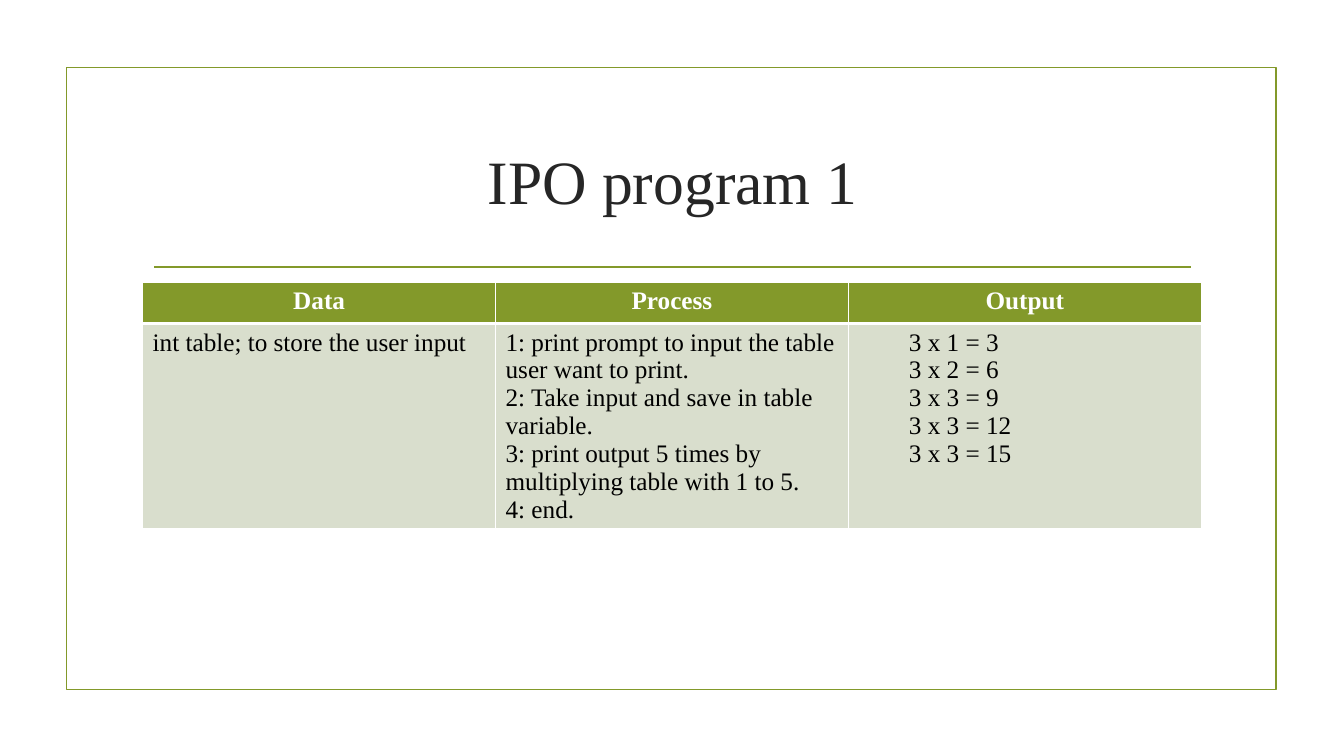
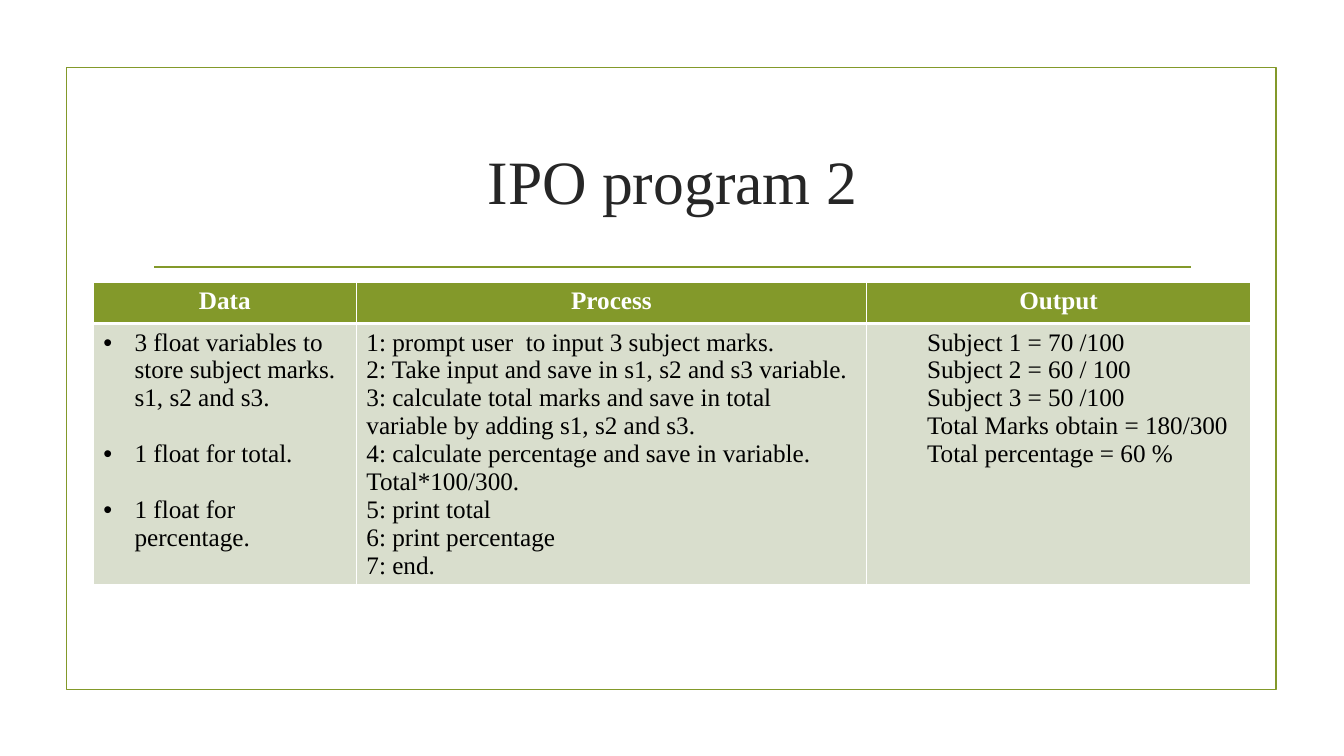
import pptx
import pptx.dml.color
import pptx.enum.shapes
import pptx.enum.text
import pptx.oxml.ns
import pptx.util
from lxml import etree

Inches = pptx.util.Inches
Pt = pptx.util.Pt
qn = pptx.oxml.ns.qn
ALIGN = pptx.enum.text.PP_ALIGN

SLIDE_WIDTH, SLIDE_HEIGHT = 13.33, 7.5
FONT = "Times New Roman"
COLORS = {
    "accent": "83992A",
    "title": "262626",
    "header_text": "FFFFFF",
    "body_text": "000000",
    "body_fill": "D9DECD",
    "border": "FFFFFF",
}
FRAME_BOX = (0.66, 0.67, 12, 6.17)
TITLE_BOX = (1.42, 1.07, 10.5, 1.43)
RULE_LEFT, RULE_RIGHT, RULE_TOP = 1.53, 11.81, 2.65
TABLE_TOP, ROW_HEIGHT = 2.8, 0.41
HEADINGS = ["Data", "Process", "Output"]
BULLET_INDENT, OUTPUT_INDENT = 0.31, 0.5

PROGRAMS = [
    {
        "title": "IPO program 1",
        "columns": [3.5, 3.5, 3.5],
        "bulleted": False,
        "body": [
            ["int table; to store the user input"],
            [
                "1: print prompt to input the table user want to print.",
                "2: Take input and save in table variable.",
                "3: print output 5 times by multiplying table with 1 to 5.",
                "4: end.",
            ],
            ["3 x 1 = 3", "3 x 2 = 6", "3 x 3 = 9", "3 x 3 = 12", "3 x 3 = 15"],
        ],
    },
    {
        "title": "IPO program 2",
        "columns": [2.61, 5.06, 3.81],
        "bulleted": True,
        "body": [
            [
                "3 float variables to store subject marks. s1, s2 and s3.",
                "1 float for total.",
                "1 float for percentage.",
            ],
            [
                "1: prompt user  to input 3 subject marks.",
                "2: Take input and save in s1, s2 and s3 variable.",
                "3: calculate total marks and save in total variable by adding s1, s2 and s3.",
                "4: calculate percentage and save in variable. Total*100/300.",
                "5: print total",
                "6: print percentage",
                "7: end.",
            ],
            [
                "Subject 1 = 70 /100",
                "Subject 2 = 60 / 100",
                "Subject 3 = 50 /100",
                "Total Marks obtain = 180/300",
                "Total percentage = 60 %",
            ],
        ],
    },
]


def color(name):
    return pptx.dml.color.RGBColor.from_string(COLORS[name])


def place(shape, box):
    shape.left, shape.top, shape.width, shape.height = map(Inches, box)


def write(para, text, size, color_name, bold=False):
    span = para.add_run()
    span.text = text
    span.font.name = FONT
    span.font.size = Pt(size)
    span.font.bold = bold
    span.font.color.rgb = color(color_name)


def indent(para, left, bullet=None):
    settings = para._p.get_or_add_pPr()
    settings.set("marL", str(Inches(left)))
    settings.set("indent", str(-Inches(left) if bullet else 0))
    if bullet:
        etree.SubElement(settings, qn("a:buFont")).set("typeface", "Arial")
        etree.SubElement(settings, qn("a:buChar")).set("char", bullet)


def add_borders(cell, top, bottom):
    settings = cell._tc.get_or_add_tcPr()
    for side, width in (("L", 1), ("R", 1), ("T", top), ("B", bottom)):
        line = etree.SubElement(settings, qn("a:ln" + side), w=str(Pt(width)))
        fill = etree.SubElement(line, qn("a:solidFill"))
        etree.SubElement(fill, qn("a:srgbClr"), val=COLORS["border"])


def add_decoration(page):
    frame = page.shapes.add_shape(
        pptx.enum.shapes.MSO_SHAPE.RECTANGLE, *map(Inches, FRAME_BOX))
    frame.shadow.inherit = False
    frame.fill.background()
    rule = page.shapes.add_connector(
        pptx.enum.shapes.MSO_CONNECTOR.STRAIGHT,
        *map(Inches, (RULE_LEFT, RULE_TOP, RULE_RIGHT, RULE_TOP)))
    etree.SubElement(rule.element.spPr, qn("a:effectLst"))
    for shape in (frame, rule):
        shape.line.color.rgb = color("accent")
        shape.line.width = Pt(1.25)


def add_title(page, text):
    title = page.shapes.title
    place(title, TITLE_BOX)
    title.text_frame.vertical_anchor = pptx.enum.text.MSO_ANCHOR.MIDDLE
    para = title.text_frame.paragraphs[0]
    para.alignment = ALIGN.CENTER
    write(para, text, 44, "title")


def fill_header(cell, heading):
    add_borders(cell, 1, 3)
    cell.fill.solid()
    cell.fill.fore_color.rgb = color("accent")
    para = cell.text_frame.paragraphs[0]
    para.alignment = ALIGN.CENTER
    write(para, heading, 18, "header_text", bold=True)


def fill_body(cell, lines, left=0, bullet=None):
    add_borders(cell, 3, 1)
    cell.fill.solid()
    cell.fill.fore_color.rgb = color("body_fill")
    for number, text in enumerate(lines):
        para = cell.text_frame.paragraphs[0] if number == 0 else cell.text_frame.add_paragraph()
        if bullet and number:
            para.space_before = Pt(20)
        if left:
            indent(para, left, bullet)
        write(para, text, 18, "body_text")


def add_program_table(page, program):
    widths = program["columns"]
    total = sum(widths)
    box = ((SLIDE_WIDTH - total) / 2, TABLE_TOP, total, 2 * ROW_HEIGHT)
    table = page.shapes.add_table(2, len(widths), *map(Inches, box)).table
    table.horz_banding = False
    data_style = (BULLET_INDENT, "•") if program["bulleted"] else (0, None)
    styles = [data_style, (0, None), (OUTPUT_INDENT, None)]
    for index, width in enumerate(widths):
        table.columns[index].width = Inches(width)
        fill_header(table.cell(0, index), HEADINGS[index])
        fill_body(table.cell(1, index), program["body"][index], *styles[index])


def add_program_page(deck, program):
    page = deck.slides.add_slide(deck.slide_layouts[5])
    add_decoration(page)
    add_title(page, program["title"])
    add_program_table(page, program)


def main():
    deck = pptx.Presentation()
    deck.slide_width = Inches(SLIDE_WIDTH)
    deck.slide_height = Inches(SLIDE_HEIGHT)
    for program in PROGRAMS:
        add_program_page(deck, program)
    deck.save("out.pptx")


if __name__ == "__main__":
    main()
